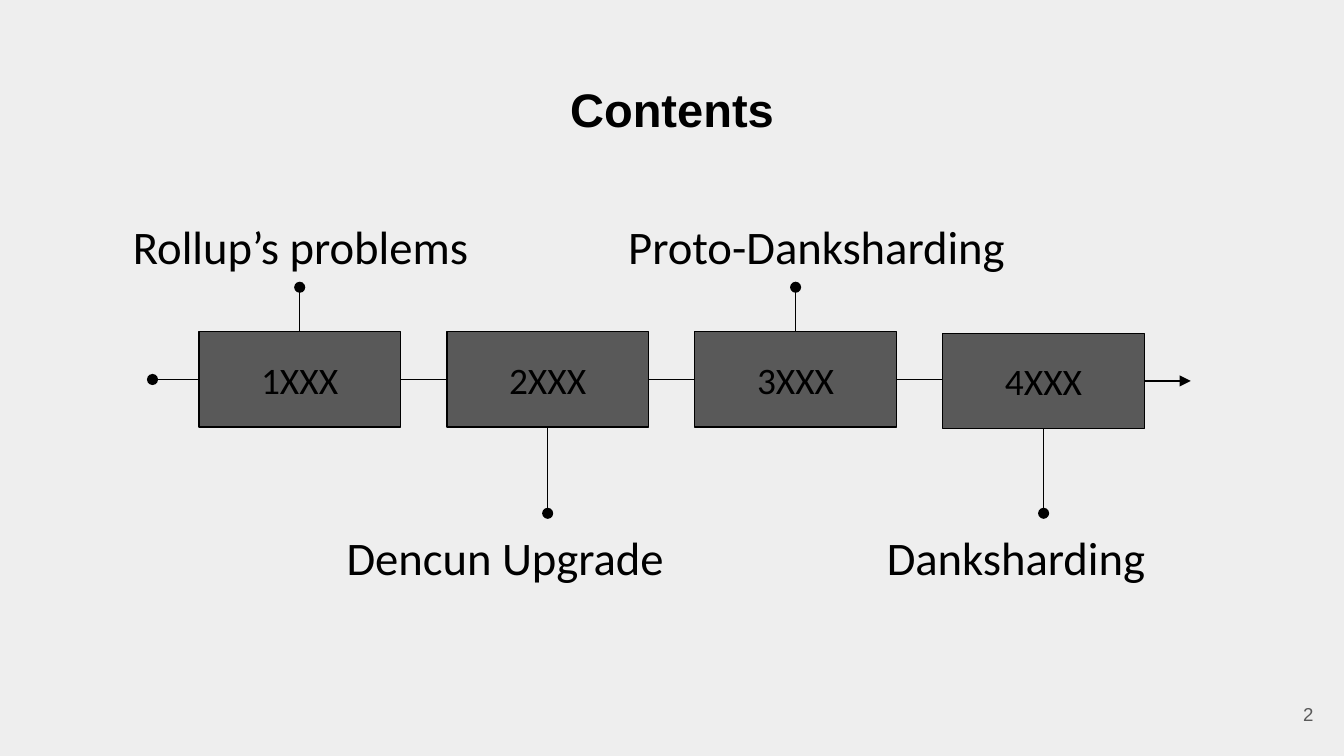
from dataclasses import dataclass

from lxml import etree
from pptx import Presentation
from pptx.dml.color import RGBColor
from pptx.enum.shapes import MSO_CONNECTOR, MSO_SHAPE
from pptx.enum.text import MSO_ANCHOR, PP_ALIGN
from pptx.oxml.ns import qn
from pptx.util import Inches, Pt

LEFT, CENTER, RIGHT = PP_ALIGN.LEFT, PP_ALIGN.CENTER, PP_ALIGN.RIGHT
MIDDLE, BOTTOM = MSO_ANCHOR.MIDDLE, MSO_ANCHOR.BOTTOM
RECTANGLE = MSO_SHAPE.RECTANGLE
STRAIGHT = MSO_CONNECTOR.STRAIGHT


@dataclass(frozen=True)
class Theme:
    background: str = "EEEEEE"
    ink: str = "000000"
    grey: str = "595959"
    heading_font: str = "Arial"
    body_font: str = "Calibri"
    title_size: float = 25.2
    label_size: float = 25
    step_size: float = 20
    number_size: float = 10
    line_width: float = 0.75
    inset: float = 0.1


class SlideBuilder:
    def __init__(self, deck, theme):
        self.theme = theme
        self.column = deck.slide_width / 100
        self.row = deck.slide_height / 100
        self.slide = deck.slides.add_slide(deck.slide_layouts[6])
        fill = self.slide.background.fill
        fill.solid()
        fill.fore_color.rgb = RGBColor.from_string(theme.background)

    def place(self, *shares):
        units = (self.column, self.row) * 2
        return [round(share * unit) for share, unit in zip(shares, units)]

    def set_wording(self, shape, wording, size, font, color, align, anchor, bold=False):
        frame = shape.text_frame
        frame.word_wrap = True
        frame.vertical_anchor = anchor
        frame.margin_left = frame.margin_right = Inches(self.theme.inset)
        frame.margin_top = frame.margin_bottom = Inches(self.theme.inset)
        frame.text = wording
        paragraph = frame.paragraphs[0]
        paragraph.alignment = align
        style = paragraph.runs[0].font
        style.name, style.size, style.bold = font, Pt(size), bold
        style.color.rgb = RGBColor.from_string(color)

    def text(self, area, *wording_and_style, **options):
        box = self.slide.shapes.add_textbox(*self.place(*area))
        self.set_wording(box, *wording_and_style, **options)

    def step(self, area, wording):
        theme = self.theme
        block = self.slide.shapes.add_shape(RECTANGLE, *self.place(*area))
        block.shadow.inherit = False
        block.fill.solid()
        block.fill.fore_color.rgb = RGBColor.from_string(theme.grey)
        block.line.color.rgb = RGBColor.from_string(theme.ink)
        block.line.width = Pt(theme.line_width)
        self.set_wording(block, wording, theme.step_size, theme.body_font,
                         theme.ink, CENTER, MIDDLE)

    def line(self, start, end, tip=None):
        link = self.slide.shapes.add_connector(STRAIGHT, *self.place(*start, *end))
        link.line.color.rgb = RGBColor.from_string(self.theme.ink)
        link.line.width = Pt(self.theme.line_width)
        properties = link._element.spPr
        if tip:
            outline = properties.find(qn("a:ln"))
            etree.SubElement(outline, qn("a:tailEnd"), type=tip)
        etree.SubElement(properties, qn("a:effectLst"))


STEP_LEFT, STEP_TOP = 14.8, 43.9
STEP_WIDTH, STEP_HEIGHT = 15, 12.6
GAP = 3.45
AXIS = STEP_TOP + STEP_HEIGHT / 2
LAST_STEP_DROP = 0.2
UPPER_TIP, LOWER_TIP = 38, 67.9
UPPER_LABEL = (25.4, 12.6)
LOWER_LABEL = (67.9, 11.2)

PHASES = [
    ("1XXX", "Rollup’s problems", 6.4, 31.9),
    ("2XXX", "Dencun Upgrade", 24.8, 31.9),
    ("3XXX", "Proto-Danksharding", 43.3, 34.9),
    ("4XXX", "Danksharding", 65, 25.4),
]


def main():
    deck = Presentation()
    deck.slide_width, deck.slide_height = Inches(10), Inches(5.625)
    theme = Theme()
    contents = SlideBuilder(deck, theme)

    contents.text((3.4, 8.7, 93.2, 11.2), "Contents", theme.title_size,
                  theme.heading_font, theme.ink, CENTER, BOTTOM, bold=True)

    contents.line((STEP_LEFT, AXIS), (STEP_LEFT - GAP, AXIS), "oval")
    for index, (code, topic, label_left, label_width) in enumerate(PHASES):
        last = index == len(PHASES) - 1
        above = index % 2 == 0
        drop = LAST_STEP_DROP if last else 0
        left = STEP_LEFT + index * (STEP_WIDTH + GAP)
        right, middle = left + STEP_WIDTH, left + STEP_WIDTH / 2
        top = STEP_TOP + drop

        contents.step((left, top, STEP_WIDTH, STEP_HEIGHT), code)
        contents.line((right, AXIS + drop), (right + GAP, AXIS + drop),
                      "triangle" if last else None)
        edge, tip = (top, UPPER_TIP) if above else (top + STEP_HEIGHT, LOWER_TIP)
        contents.line((middle, edge), (middle, tip), "oval")
        label_top, label_height = UPPER_LABEL if above else LOWER_LABEL
        contents.text((label_left, label_top, label_width, label_height), topic,
                      theme.label_size, theme.body_font, theme.ink,
                      CENTER if above else LEFT, BOTTOM)

    contents.text((94.5, 90.7, 4.2, 7.6), "2", theme.number_size,
                  theme.heading_font, theme.grey, RIGHT, MIDDLE)
    deck.save("out.pptx")


if __name__ == "__main__":
    main()
